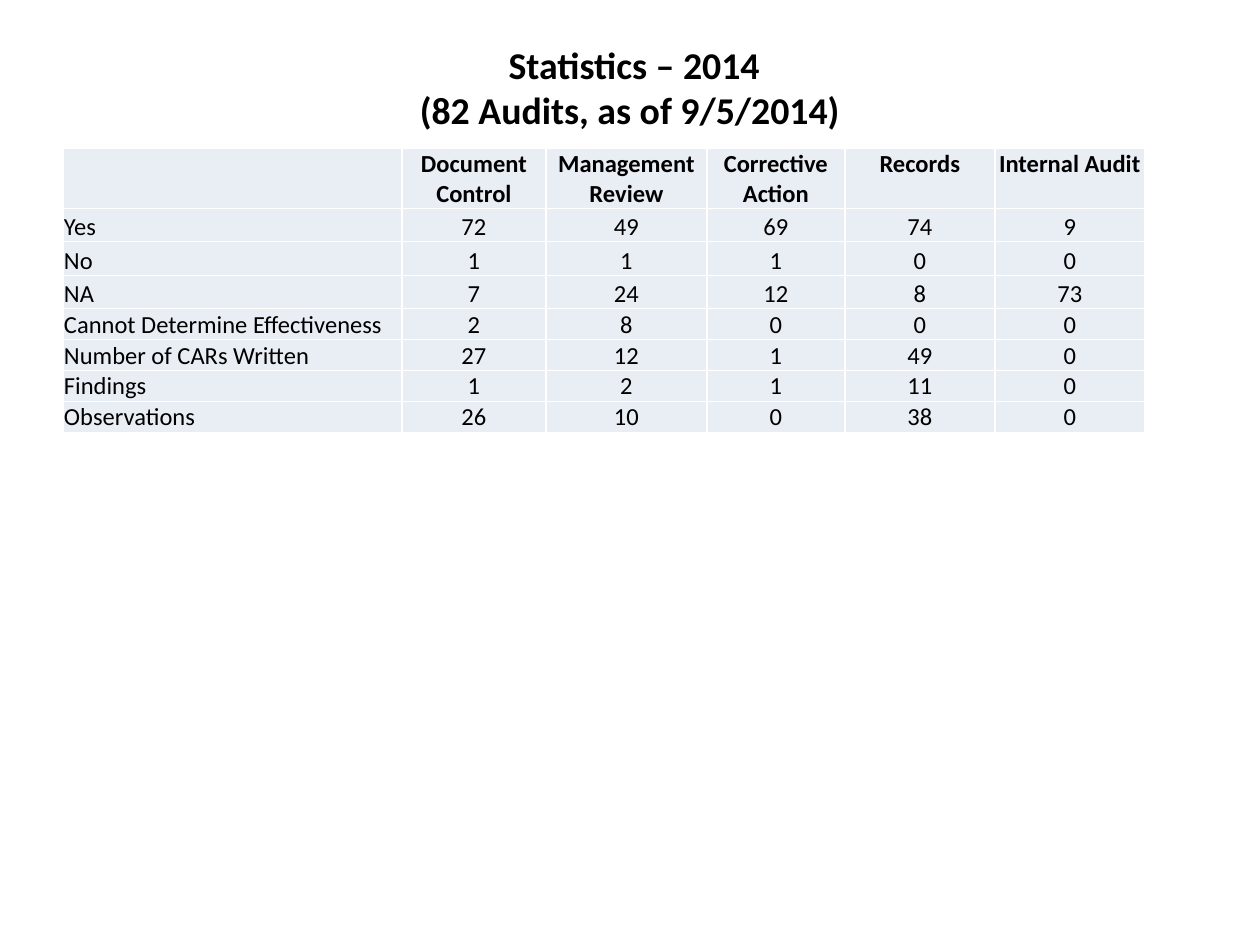
import copy
from dataclasses import dataclass

import pptx
import pptx.dml.color
import pptx.enum.text
import pptx.oxml
import pptx.oxml.ns
import pptx.util

PX = 914400 // 126
ALIGN = pptx.enum.text.PP_ALIGN
ANCHOR = pptx.enum.text.MSO_ANCHOR


@dataclass(frozen=True)
class Theme:
    font: str = "Calibri"
    text: str = "000000"
    cell: str = "E9EDF4"
    border: str = "FFFFFF"
    border_pt: float = 1
    title_pt: float = 21.6
    table_pt: float = 14


@dataclass(frozen=True)
class Row:
    label: str
    values: tuple
    height: int
    header: bool = False


THEME = Theme()
COLUMNS = (339, 144, 161, 138, 150, 150)
ROWS = (
    Row("", ("Document Control", "Management Review", "Corrective Action",
             "Records", "Internal Audit"), 60, header=True),
    Row("Yes", (72, 49, 69, 74, 9), 33),
    Row("No", (1, 1, 1, 0, 0), 34),
    Row("NA", (7, 24, 12, 8, 73), 33),
    Row("Cannot Determine Effectiveness", (2, 8, 0, 0, 0), 31),
    Row("Number of CARs Written", (27, 12, 1, 49, 0), 31),
    Row("Findings", (1, 2, 1, 11, 0), 31),
    Row("Observations", (26, 10, 0, 38, 0), 31),
)


def px(n: int) -> pptx.util.Emu:
    return pptx.util.Emu(n * PX)


def rgb(value: str) -> pptx.dml.color.RGBColor:
    return pptx.dml.color.RGBColor.from_string(value)


def write(tf, text: str, *, size: float, bold: bool = False,
          align=ALIGN.CENTER) -> None:
    p = tf.paragraphs[0]
    p.text = text
    p.alignment = align
    for r in p.runs:
        r.font.name = THEME.font
        r.font.size = pptx.util.Pt(size)
        r.font.bold = bold
        r.font.color.rgb = rgb(THEME.text)
    for br in p._p.findall(pptx.oxml.ns.qn("a:br")):
        br.insert(0, copy.deepcopy(p.runs[0]._r.rPr))


def add_borders(cell) -> None:
    tcPr = cell._tc.get_or_add_tcPr()
    width = pptx.util.Pt(THEME.border_pt)
    for side in "LRTB":
        tcPr.append(pptx.oxml.parse_xml(
            f'<a:ln{side} {pptx.oxml.ns.nsdecls("a")} w="{width}"><a:solidFill>'
            f'<a:srgbClr val="{THEME.border}"/></a:solidFill></a:ln{side}>'))


def draw_cell(cell, text: str, *, header: bool, align) -> None:
    add_borders(cell)
    cell.fill.solid()
    cell.fill.fore_color.rgb = rgb(THEME.cell)
    cell.margin_left = cell.margin_right = cell.margin_top = px(1)
    cell.margin_bottom = 0
    cell.vertical_anchor = ANCHOR.TOP if header else ANCHOR.BOTTOM
    if text:
        write(cell.text_frame, text, size=THEME.table_pt, bold=header, align=align)


def draw_title(sp, text: str) -> None:
    sp.left, sp.top, sp.width, sp.height = px(63), px(38), px(1134), px(98)
    tf = sp.text_frame
    tf.word_wrap = True
    tf.auto_size = pptx.enum.text.MSO_AUTO_SIZE.NONE
    tf.vertical_anchor = ANCHOR.MIDDLE
    write(tf, text, size=THEME.title_pt, bold=True)


def draw_table(slide, rows: tuple, columns: tuple) -> None:
    table = slide.shapes.add_table(
        len(rows), len(columns), px(63), px(148), px(sum(columns)),
        px(sum(row.height for row in rows))).table
    for column, width in zip(table.columns, columns):
        column.width = px(width)
    for i, row in enumerate(rows):
        table.rows[i].height = px(row.height)
        for j, value in enumerate((row.label, *row.values)):
            draw_cell(table.cell(i, j), str(value), header=row.header,
                      align=ALIGN.CENTER if j else ALIGN.LEFT)


def main() -> None:
    prs = pptx.Presentation()
    prs.slide_width, prs.slide_height = px(1260), px(945)
    slide = prs.slides.add_slide(prs.slide_layouts[5])
    draw_title(slide.shapes.title, " Statistics – 2014\v(82 Audits, as of 9/5/2014)")
    draw_table(slide, ROWS, COLUMNS)
    prs.save("out.pptx")


if __name__ == "__main__":
    main()
